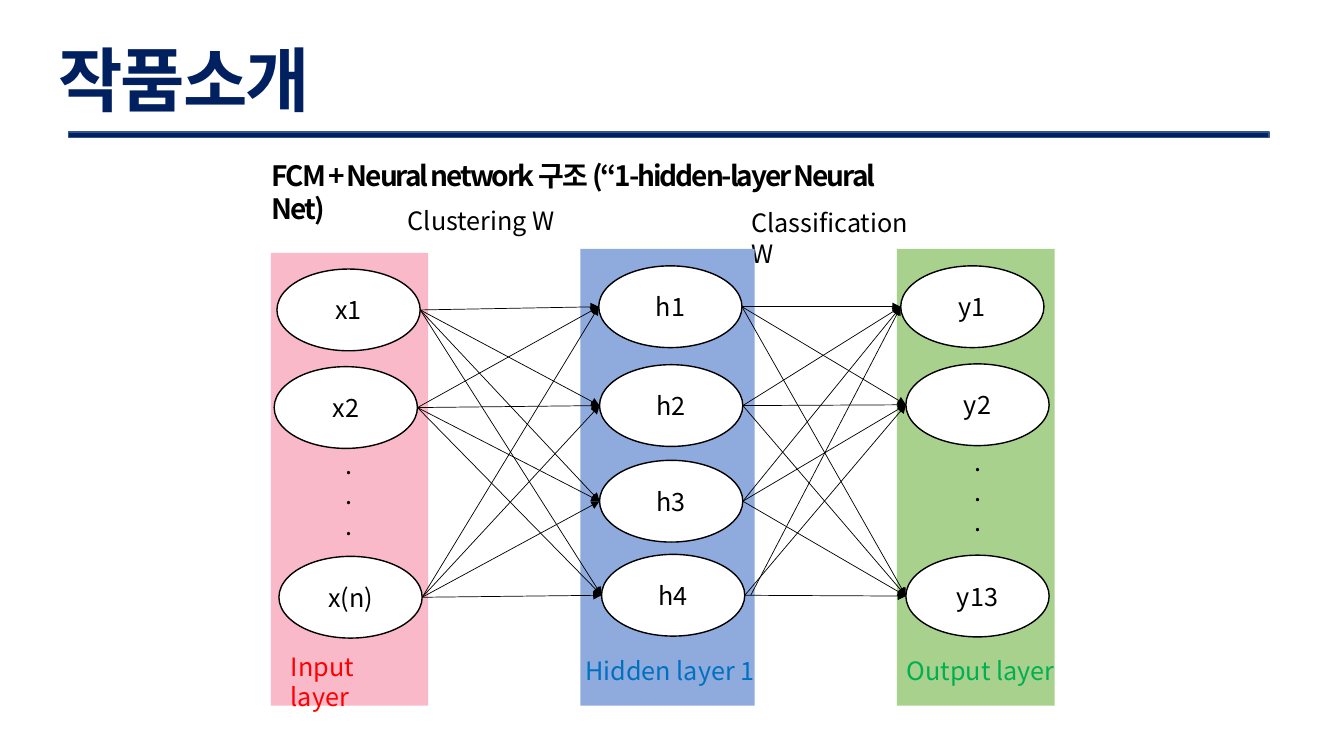
from dataclasses import dataclass
from itertools import product

from lxml import etree
from pptx import Presentation
from pptx.dml import color
from pptx.enum import shapes, text
from pptx.oxml import ns
from pptx.util import Cm, Pt


@dataclass(frozen=True)
class Theme:
    """Colours, type sizes and line weights of the slide."""
    font: str = "Noto Sans CJK KR"
    navy: str = "002060"
    rule_edge: str = "325491"
    ink: str = "000000"
    paper: str = "FFFFFF"
    pink: str = "F9B9C8"
    blue: str = "8FAADC"
    green: str = "A9D18E"
    input_text: str = "FF0000"
    hidden_text: str = "0070C0"
    output_text: str = "00B050"
    title: int = 50
    heading: int = 20
    body: int = 18
    outline: float = 1
    link: float = 0.5


THEME = Theme()
NODE_WIDTH, NODE_HEIGHT = Cm(3.61), Cm(2.06)


def rgb(value):
    """Turn a hex string into a colour."""
    return color.RGBColor.from_string(value)


def write(frame, lines, hue=THEME.ink, size=THEME.body, bold=False,
          align=text.PP_ALIGN.LEFT, tracking=None, **frame_format):
    """Fill a text frame with one paragraph per line."""
    for attribute, value in frame_format.items():
        setattr(frame, attribute, value)
    for index, line in enumerate(lines):
        paragraph = frame.add_paragraph() if index else frame.paragraphs[0]
        paragraph.alignment = align
        run = paragraph.add_run()
        run.text = line
        font_format = {"name": THEME.font, "size": Pt(size), "bold": bold}
        for attribute, value in font_format.items():
            setattr(run.font, attribute, value)
        run.font.color.rgb = rgb(hue)
        properties = run.font._element
        etree.SubElement(properties, ns.qn("a:ea"), typeface=THEME.font)
        if tracking:
            properties.set("spc", str(tracking))


def add_label(slide, box, lines, wrap=True, **style):
    """Place free text in a box."""
    label = slide.shapes.add_textbox(*box)
    write(label.text_frame, lines, word_wrap=wrap,
          auto_size=text.MSO_AUTO_SIZE.SHAPE_TO_FIT_TEXT, **style)


def add_figure(slide, preset, box, fill, edge=None):
    """Draw a flat preset shape."""
    figure = slide.shapes.add_shape(preset, *box)
    figure.shadow.inherit = False
    figure.fill.solid()
    figure.fill.fore_color.rgb = rgb(fill)
    if edge:
        figure.line.color.rgb = rgb(edge)
        figure.line.width = Pt(THEME.outline)
    else:
        figure.line.fill.background()
    return figure


def add_header(slide, box):
    """Place the slide title and the rule under it."""
    left, top, width, height = box
    add_figure(slide, shapes.MSO_SHAPE.RECTANGLE,
               (left + Cm(0.99), top + Cm(2.54), width - Cm(0.99), Cm(0.13)),
               THEME.navy, THEME.rule_edge)
    add_label(slide, (left, top, Cm(7.8), height), ["작품소개"],
              hue=THEME.navy, size=THEME.title, bold=True,
              align=text.PP_ALIGN.CENTER, tracking=-150)


def add_layer(slide, box, fill, nodes, caption, caption_box, hue, dots=None):
    """Draw a layer band with its nodes, dots and caption; return the nodes."""
    left, top, width, height = box
    add_figure(slide, shapes.MSO_SHAPE.RECTANGLE, box, fill)
    neurons = []
    for name, dx, dy in nodes:
        neuron = add_figure(
            slide, shapes.MSO_SHAPE.OVAL,
            (left + Cm(dx), top + Cm(dy), NODE_WIDTH, NODE_HEIGHT),
            THEME.paper, THEME.ink)
        write(neuron.text_frame, [name], align=text.PP_ALIGN.CENTER,
              vertical_anchor=text.MSO_ANCHOR.MIDDLE)
        neurons.append(neuron)
    if dots:
        dx, dy = dots
        add_label(slide, (left + Cm(dx), top + Cm(dy), Cm(0.66), Cm(2.57)),
                  ["."] * 3, wrap=False)
    dx, dy, caption_width = caption_box
    add_label(slide, (left + Cm(dx), top + Cm(dy), Cm(caption_width), Cm(1.02)),
              [caption], hue=hue)
    return neurons


def add_links(slide, sources, targets, nudges=None):
    """Join every source node to every target node with an arrow."""
    nudges = nudges or {}
    for (i, source), (j, target) in product(enumerate(sources), enumerate(targets)):
        link = slide.shapes.add_connector(
            shapes.MSO_CONNECTOR.STRAIGHT,
            source.left + source.width + nudges.get((i, j), 0),
            source.top + source.height // 2,
            target.left, target.top + target.height // 2)
        link.line.color.rgb = rgb(THEME.ink)
        link.line.width = Pt(THEME.link)
        etree.SubElement(link.line._get_or_add_ln(), ns.qn("a:tailEnd"),
                         type="triangle")
        etree.SubElement(link._element.spPr, ns.qn("a:effectLst"))


def add_network(slide, box):
    """Draw the three-layer network with its heading and weight labels."""
    left, top, width, height = box
    for label, dx, dy in (("Clustering W", 3.43, 1.19),
                          ("Classification W", 12.09, 1.25)):
        add_label(slide, (left + Cm(dx), top + Cm(dy), Cm(5.13), Cm(1.02)), [label])
    band_top, band_height = top + Cm(2.41), height - Cm(2.41)
    outputs = add_layer(
        slide, (left + Cm(16), band_top, Cm(3.98), band_height), THEME.green,
        [("y1", 0.1, 0.43), ("y2", 0.23, 2.9), ("y13", 0.23, 7.72)],
        "Output layer", (0, 10.13, 4.39), THEME.output_text, dots=(1.7, 4.85))
    hidden = add_layer(
        slide, (left + Cm(8.03), band_top, Cm(4.39), band_height), THEME.blue,
        [("h1", 0.46, 0.43), ("h2", 0.48, 2.92), ("h3", 0.48, 5.33),
         ("h4", 0.53, 7.7)],
        "Hidden layer 1", (-0.13, 10.13, 4.78), THEME.hidden_text)
    inputs = add_layer(
        slide, (left + Cm(0.23), band_top + Cm(0.1), Cm(3.96), band_height - Cm(0.1)),
        THEME.pink, [("x1", 0.15, 0.41), ("x2", 0.08, 2.87), ("x(n)", 0.2, 7.65)],
        "Input layer", (0.25, 9.91, 3.68), THEME.input_text, dots=(1.63, 4.83))
    add_links(slide, inputs, hidden)
    add_links(slide, hidden, outputs, nudges={(3, 0): Cm(0.15)})
    add_label(slide, (left, top, Cm(16.99), Cm(1.12)),
              ["FCM + Neural network 구조 (“1-hidden-layer Neural Net)"],
              size=THEME.heading, bold=True, tracking=-150)


def main():
    """Build and save the slide."""
    deck = Presentation()
    deck.slide_width, deck.slide_height = Cm(33.87), Cm(19.05)
    slide = deck.slides.add_slide(deck.slide_layouts[6])
    add_header(slide, (Cm(0.74), Cm(0.79), Cm(31.24), Cm(2.39)))
    add_network(slide, (Cm(6.6), Cm(3.86), Cm(19.98), Cm(13.92)))
    deck.save("out.pptx")


if __name__ == "__main__":
    main()
